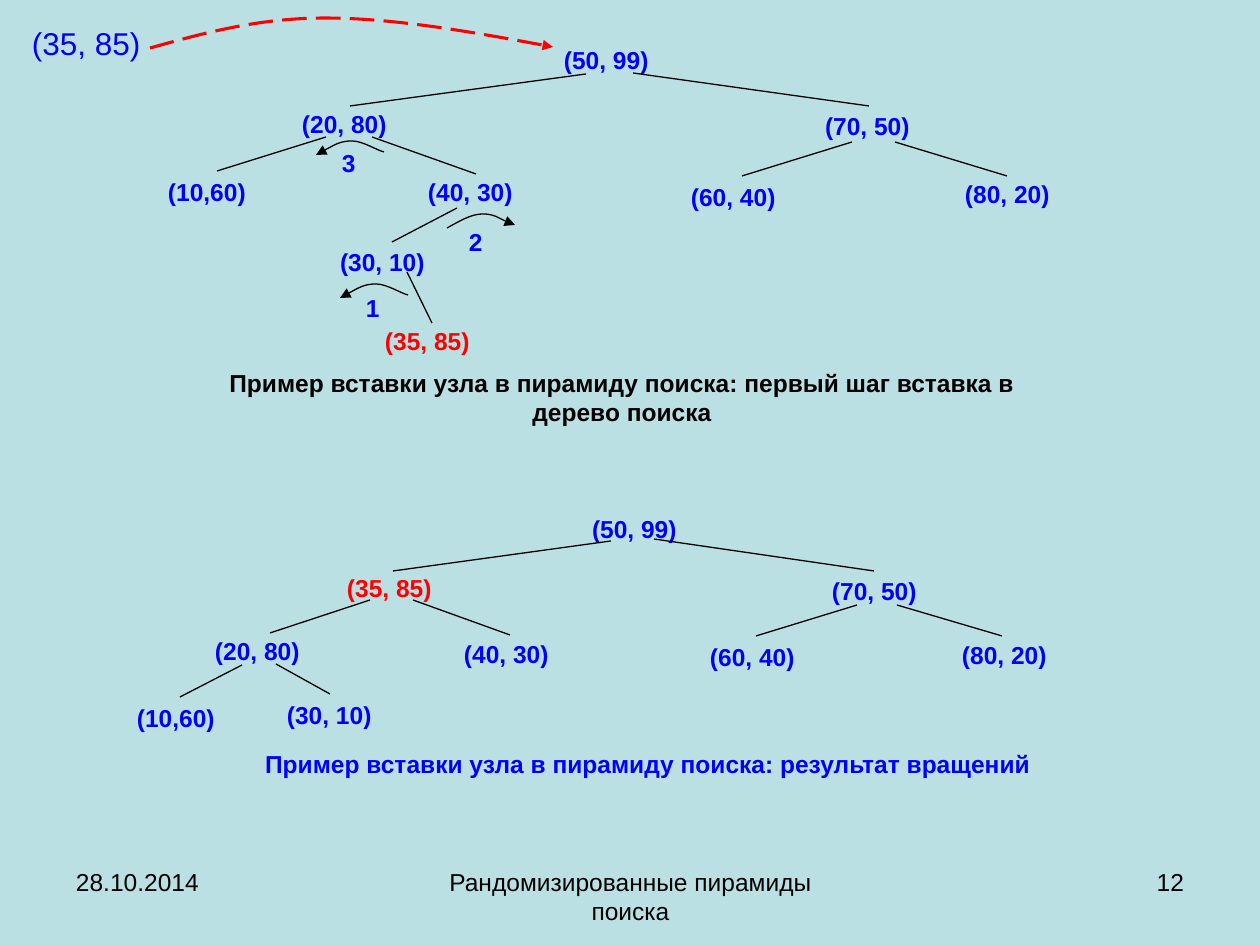
"""Build a slide showing node insertion into a search treap."""
from lxml import etree
from pptx import Presentation
from pptx.dml.color import RGBColor
from pptx.enum.dml import MSO_LINE
from pptx.enum.shapes import MSO_CONNECTOR, MSO_SHAPE
from pptx.enum.text import MSO_ANCHOR, PP_ALIGN
from pptx.oxml.ns import qn
from pptx.util import Pt

SCALE = 914400 / 126
RECTANGLE = MSO_SHAPE.RECTANGLE
STRAIGHT = MSO_CONNECTOR.STRAIGHT
LONG_DASH = MSO_LINE.LONG_DASH
TOP, MIDDLE = MSO_ANCHOR.TOP, MSO_ANCHOR.MIDDLE
LEFT, CENTER, RIGHT = PP_ALIGN.LEFT, PP_ALIGN.CENTER, PP_ALIGN.RIGHT
COLORS = {"background": "BBE0E3", "node": "0000FF", "new": "FF0000", "text": "000000"}
TIGHT, ROOMY = (2, 1), (13, 6)

NEW_KEY = "(35, 85)"
ROTATION_ARC = [(0, 14), (13, 7), (24, 0), (36, 0), (47, 0), (62, 10), (68, 11)]
INSERTION_ARC = [(150, 48), (204, 33), (258, 18), (325, 18), (392, 18), (473, 32), (553, 47)]
ROTATIONS = [
    ("1", (340, 284), (364, 292), "headEnd"),
    ("2", (447, 214), (467, 226), "tailEnd"),
    ("3", (316, 141), (340, 147), "headEnd"),
]
INSERTED_NODES = [
    ("(50, 99)", 562, 44, 102),
    ("(70, 50)", 823, 110, 105),
    ("(60, 40)", 689, 181, 100),
    ("(80, 20)", 963, 178, 102),
    ("(20, 80)", 300, 108, 103),
    ("(10,60)", 166, 176, 95),
    ("(40, 30)", 426, 176, 102),
    ("(30, 10)", 338, 246, 107),
    (NEW_KEY, 383, 325, 100),
]
INSERTED_EDGES = [
    (586, 74, 350, 106), (633, 73, 869, 106),
    (852, 142, 742, 176), (895, 142, 1007, 176),
    (326, 137, 217, 171), (372, 137, 476, 174),
    (457, 208, 392, 242), (407, 272, 432, 323),
]
ROTATED_NODES = [
    ("(50, 99)", 590, 513, 95),
    ("(70, 50)", 830, 575, 97),
    ("(60, 40)", 708, 641, 92),
    ("(80, 20)", 960, 639, 95),
    ("(20, 80)", 213, 635, 96),
    ("(10,60)", 135, 702, 87),
    ("(40, 30)", 462, 638, 95),
    ("(30, 10)", 285, 699, 98),
    (NEW_KEY, 345, 572, 92),
]
ROTATED_EDGES = [
    (611, 541, 393, 571), (654, 539, 874, 571),
    (857, 605, 756, 636), (897, 605, 1002, 636),
    (370, 600, 270, 633), (413, 600, 510, 635),
    (242, 665, 180, 697), (276, 664, 330, 694),
]
FOOTERS = [
    ("28.10.2014", 63, 294, LEFT),
    ("Рандомизированные пирамиды поиска", 431, 399, CENTER),
    ("12", 903, 294, RIGHT),
]


def emu(*lengths):
    return [round(length * SCALE) for length in lengths]


class TreapSlide:
    def __init__(self, deck):
        self.page = deck.slides.add_slide(deck.slide_layouts[6])
        self.shapes = self.page.shapes
        fill = self.page.background.fill
        fill.solid()
        fill.fore_color.rgb = self.color("background")

    def color(self, name):
        return RGBColor.from_string(COLORS[name])

    def set_text(self, box, text, color, size=14, bold=False, align=LEFT,
                 inset=TIGHT, anchor=TOP, wrap=True):
        frame = box.text_frame
        frame.word_wrap = wrap
        frame.vertical_anchor = anchor
        frame.margin_left, frame.margin_top = emu(*inset)
        frame.margin_right, frame.margin_bottom = emu(*inset)
        para = frame.paragraphs[0]
        para.text = text
        para.alignment = align
        para.font.name = "Arial"
        para.font.size = Pt(size)
        para.font.bold = bold
        para.font.color.rgb = self.color(color)

    def text(self, text, place, color="text", **style):
        self.set_text(self.shapes.add_textbox(*emu(*place)), text, color, **style)

    def label(self, text, place, color="node", align=LEFT):
        box = self.shapes.add_shape(RECTANGLE, *emu(*place))
        box.shadow.inherit = False
        box.fill.solid()
        box.fill.fore_color.rgb = self.color("background")
        box.line.fill.background()
        self.set_text(box, text, color, bold=True, align=align)

    def edge(self, ends):
        line = self.shapes.add_connector(STRAIGHT, *emu(*ends))
        line.line.color.rgb = self.color("text")
        line.line.width = Pt(0.75)
        etree.SubElement(line._element.spPr, qn("a:effectLst"))

    def arc(self, points, arrow, color="text", width=0.75, dash=None):
        builder = self.shapes.build_freeform(*points[0], scale=SCALE)
        builder.add_line_segments(points[1:], close=False)
        curve = builder.convert_to_shape()
        curve.shadow.inherit = False
        curve.fill.background()
        curve.line.color.rgb = self.color(color)
        curve.line.width = Pt(width)
        if dash is not None:
            curve.line.dash_style = dash
        properties = curve._element.spPr
        etree.SubElement(properties.find(qn("a:ln")), qn("a:" + arrow), type="triangle")
        segments = list(properties.iter(qn("a:lnTo")))
        outline = segments[0].getparent()
        for start in range(0, len(segments), 3):
            bezier = etree.SubElement(outline, qn("a:cubicBezTo"))
            for segment in segments[start:start + 3]:
                bezier.append(segment[0])
                outline.remove(segment)

    def tree(self, nodes, edges, height):
        self.shapes = self.page.shapes.add_group_shape().shapes
        for key, left, top, width in nodes:
            color = "new" if key == NEW_KEY else "node"
            self.label(key, (left, top, width, height), color)
        for ends in edges:
            self.edge(ends)

    def end_tree(self):
        self.shapes = self.page.shapes


def main():
    deck = Presentation()
    deck.slide_width, deck.slide_height = emu(1260, 945)
    slide = TreapSlide(deck)
    for text, left, width, align in FOOTERS:
        slide.text(text, (left, 861, width, 66), align=align, inset=ROOMY)

    slide.tree(INSERTED_NODES, INSERTED_EDGES, 28)
    for number, (left, top), corner, arrow in ROTATIONS:
        slide.arc([(left + x, top + y) for x, y in ROTATION_ARC], arrow)
        slide.label(number, (*corner, 28, 24))
    slide.label("Пример вставки узла в пирамиду поиска: первый шаг вставка в дерево поиска",
                (195, 367, 854, 59), "text", CENTER)

    slide.tree(ROTATED_NODES, ROTATED_EDGES, 26)
    slide.label("Пример вставки узла в пирамиду поиска: результат вращений",
                (227, 748, 842, 32), align=CENTER)
    slide.end_tree()

    slide.text(NEW_KEY, (30, 23, 122, 40), "node", size=18, anchor=MIDDLE, wrap=False)
    slide.arc(INSERTION_ARC, "tailEnd", "new", 1.75, LONG_DASH)
    deck.save("out.pptx")


if __name__ == "__main__":
    main()
